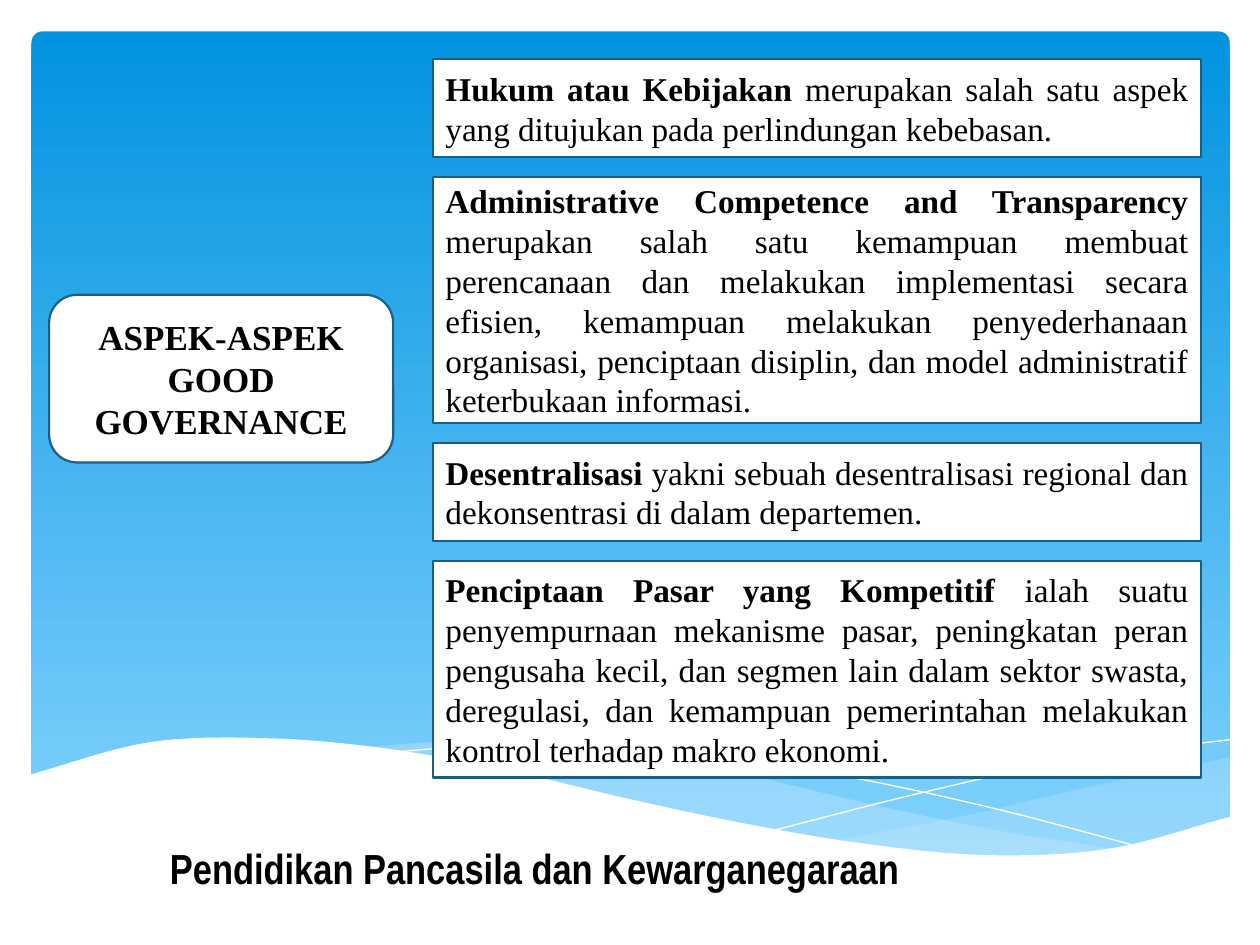
from lxml import etree
from pptx import Presentation, util as u
from pptx.dml.color import RGBColor
from pptx.enum import shapes, text
from pptx.oxml.ns import qn

theme = {
    "sky_top": RGBColor.from_string("0293E0"),
    "sky_bottom": RGBColor.from_string("83D3FE"),
    "wave": RGBColor.from_string("C6E7FC"),
    "paper": RGBColor.from_string("FFFFFF"),
    "border": RGBColor.from_string("195F84"),
    "ink": RGBColor.from_string("000000"),
    "serif": "Times New Roman",
    "narrow": "Arial Narrow",
    "course_size": 24,
    "topic_size": 20,
    "aspect_size": 19,
}

deck = Presentation()
deck.slide_width, deck.slide_height = u.Pt(720), u.Pt(540)
slide = deck.slides.add_slide(deck.slide_layouts[6])


def smooth_edge(left, right, heights, steps=10):
    before = 2 * heights[0] - heights[1]
    after = 2 * heights[-1] - heights[-2]
    padded = [before, *heights, after]
    spans = len(heights) - 1
    edge = []
    for span in range(spans):
        a, b, c, d = padded[span:span + 4]
        for step in range(steps):
            t = step / steps
            x = left + (right - left) * (span + t) / spans
            y = b + t * (c - a) / 2 + t**2 * (a - 2.5 * b + 2 * c - d / 2) \
                + t**3 * (3 * (b - c) + d - a) / 2
            edge.append((u.Pt(x), u.Pt(y)))
    return edge + [(u.Pt(right), u.Pt(heights[-1]))]


def panel(preset, box, runs, size, align):
    card = slide.shapes.add_shape(preset, *[u.Pt(v) for v in box])
    card.shadow.inherit = False
    card.fill.solid()
    card.fill.fore_color.rgb = theme["paper"]
    card.line.color.rgb = theme["border"]
    card.line.width = u.Pt(1.25)
    frame = card.text_frame
    frame.word_wrap = True
    frame.vertical_anchor = text.MSO_ANCHOR.MIDDLE
    paragraph = frame.paragraphs[0]
    paragraph.alignment = align
    for wording, bold in runs:
        run = paragraph.add_run()
        run.text = wording
        run.font.name = theme["serif"]
        run.font.size = u.Pt(size)
        run.font.bold = bold
        run.font.color.rgb = theme["ink"]


sky = slide.shapes.add_shape(
    shapes.MSO_SHAPE.ROUNDED_RECTANGLE, u.Pt(18), u.Pt(18), u.Pt(684.7), u.Pt(475.2))
sky.adjustments[0] = 0.013
sky.shadow.inherit = False
sky.line.fill.background()
sky.fill.gradient()
sky.fill.gradient_angle = 270
for stop, position, shade in zip(sky.fill.gradient_stops, (0, 1), ("sky_top", "sky_bottom")):
    stop.position = position
    stop.color.rgb = theme[shade]

wave_left, wave_right, wave_floor = 16.6, 703.4, 526.3
waves = [
    {"span": (476.6, wave_right), "tint": "wave", "opacity": 29,
     "crest": [480.2, 466, 448.4, 432.7],
     "base": [480.2, 487.1, 489.5, 484.8, 467.3]},
    {"span": (206.6, 643.7), "tint": "wave", "opacity": 40,
     "crest": [427, 422.8, 429.5, 442.5, 459.6, 474.6, 486],
     "base": [427, 438.8, 456.2, 471.4, 483.4, 489.6, 486]},
    {"span": (223.2, 653.8),
     "crest": [429.8, 424.1, 430.5, 443.4, 461.9, 484.6]},
    {"span": (442.1, wave_right),
     "crest": [474.5, 452.4, 433.6, 422.6]},
    {"span": (wave_left, wave_right), "tint": "paper", "opacity": 100,
     "crest": [442.8, 424.2, 421.9, 428, 440.5, 456.7, 471.2, 482.6, 488.7, 484.8, 466.6],
     "base": [wave_floor, wave_floor]},
]
for wave in waves:
    filled = "base" in wave
    contour = smooth_edge(*wave["span"], wave["crest"])
    if filled:
        contour += reversed(smooth_edge(*wave["span"], wave["base"]))
    builder = slide.shapes.build_freeform(*contour[0])
    builder.add_line_segments(contour[1:], close=filled)
    ripple = builder.convert_to_shape()
    ripple.shadow.inherit = False
    if filled:
        ripple.line.fill.background()
        ripple.fill.solid()
        ripple.fill.fore_color.rgb = theme[wave["tint"]]
        colour = ripple.element.spPr.find(qn("a:solidFill"))[0]
        etree.SubElement(colour, qn("a:alpha")).set("val", str(wave["opacity"] * 1000))
    else:
        ripple.fill.background()
        ripple.line.color.rgb = theme["paper"]
        ripple.line.width = u.Pt(0)

course = slide.shapes.add_textbox(u.Pt(90), u.Pt(478), u.Pt(514.8), u.Pt(36))
course.text_frame.word_wrap = True
course.text_frame.text = "Pendidikan Pancasila dan Kewarganegaraan"
course_font = course.text_frame.paragraphs[0].runs[0].font
course_font.name = theme["narrow"]
course_font.size = u.Pt(theme["course_size"])
course_font.bold = True
course_font.color.rgb = theme["ink"]

panel(shapes.MSO_SHAPE.ROUNDED_RECTANGLE, (28.1, 168.5, 196.6, 95.8),
      [("ASPEK-ASPEK GOOD GOVERNANCE", True)], theme["topic_size"], text.PP_ALIGN.CENTER)

aspects = [
    (56, "Hukum atau Kebijakan",
     "merupakan salah satu aspek yang ditujukan pada perlindungan kebebasan."),
    (140.4, "Administrative Competence and Transparency",
     "merupakan salah satu kemampuan membuat perencanaan dan melakukan implementasi "
     "secara efisien, kemampuan melakukan penyederhanaan organisasi, penciptaan "
     "disiplin, dan model administratif keterbukaan informasi."),
    (56, "Desentralisasi",
     "yakni sebuah desentralisasi regional dan dekonsentrasi di dalam departemen."),
    (124, "Penciptaan Pasar yang Kompetitif",
     "ialah suatu penyempurnaan mekanisme pasar, peningkatan peran pengusaha kecil, "
     "dan segmen lain dalam sektor swasta, deregulasi, dan kemampuan pemerintahan "
     "melakukan kontrol terhadap makro ekonomi."),
]
aspect_left, aspect_width = 247.5, 438.7
aspect_top, aspect_gap = 33.8, 11.4
for height, aspect, meaning in aspects:
    panel(shapes.MSO_SHAPE.RECTANGLE, (aspect_left, aspect_top, aspect_width, height),
          [(aspect + " ", True), (meaning, False)],
          theme["aspect_size"], text.PP_ALIGN.JUSTIFY)
    aspect_top += height + aspect_gap

deck.save("out.pptx")
